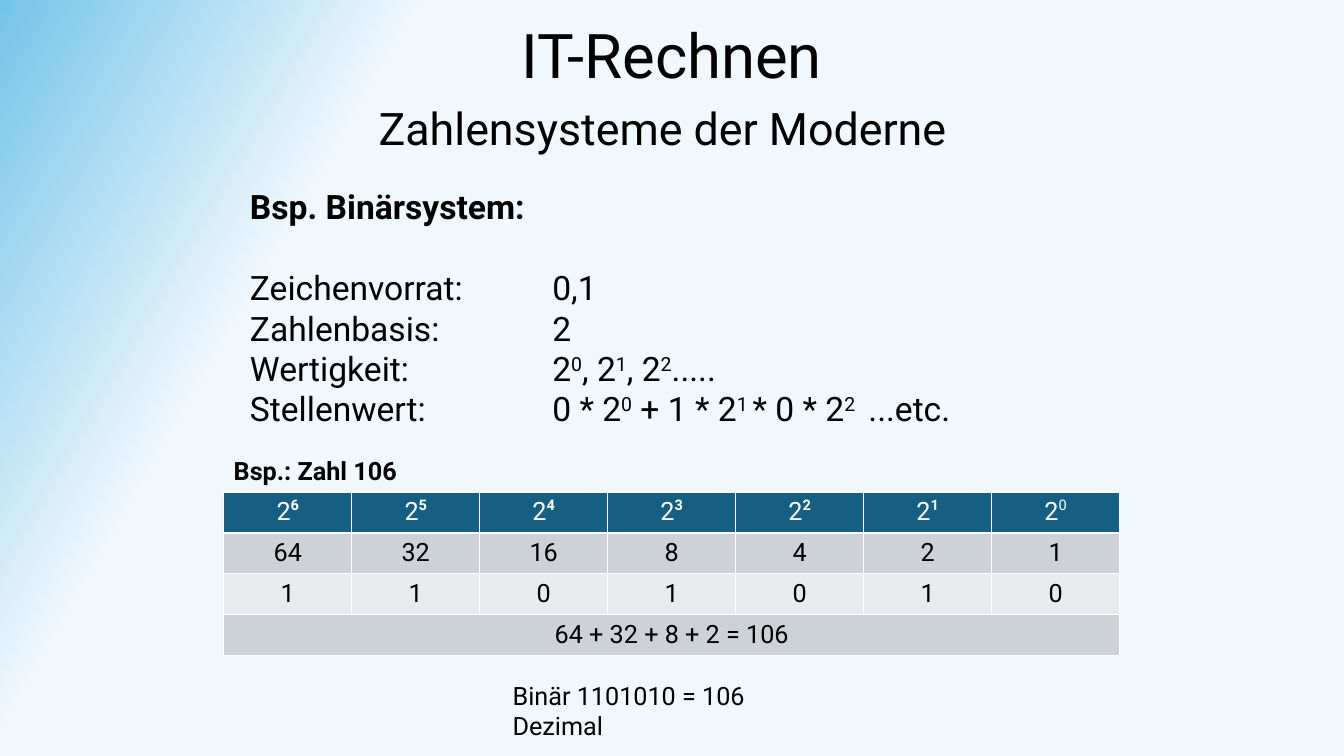
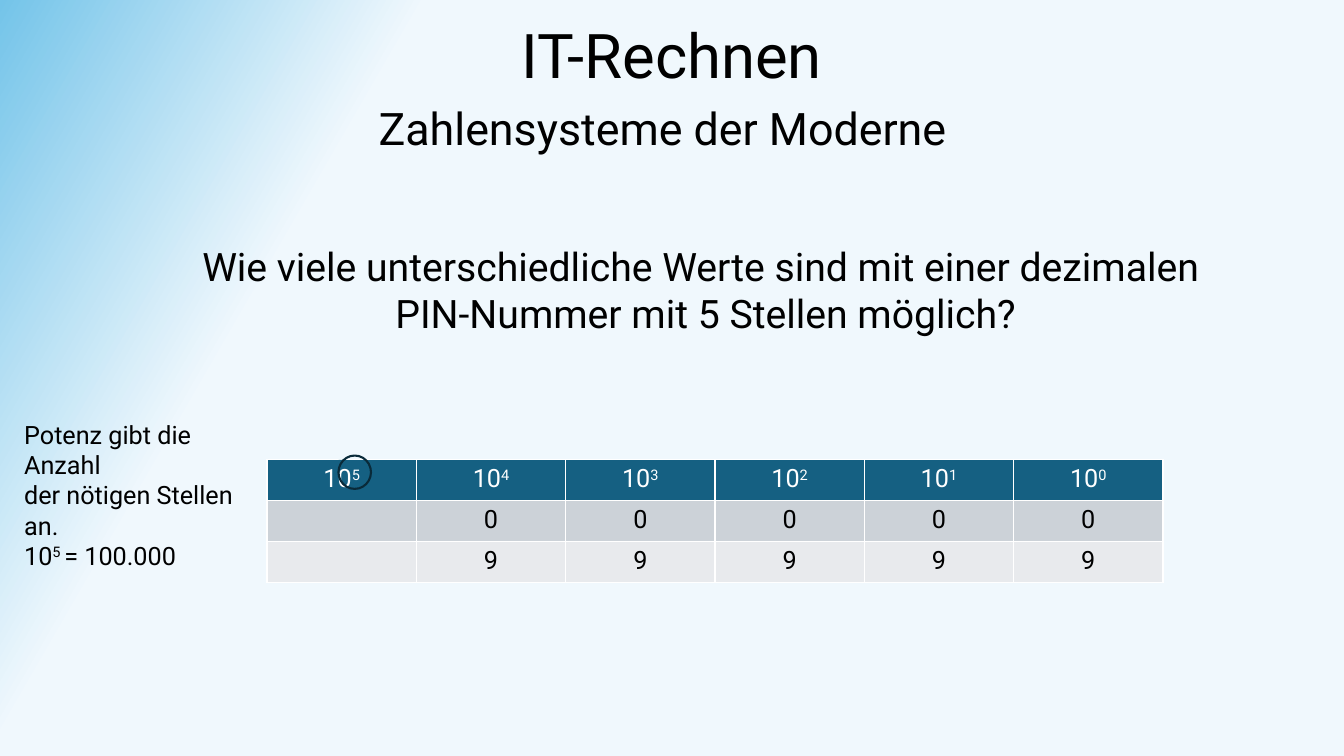
from dataclasses import dataclass

from lxml import etree
from pptx import Presentation
from pptx.dml.color import RGBColor
from pptx.enum.shapes import MSO_CONNECTOR, MSO_SHAPE
from pptx.enum.text import PP_ALIGN
from pptx.oxml.ns import qn
from pptx.util import Cm, Pt

LEFT, CENTER = PP_ALIGN.LEFT, PP_ALIGN.CENTER
STRAIGHT = MSO_CONNECTOR.STRAIGHT
ELLIPSE = MSO_SHAPE.OVAL
BLANK_LAYOUT = 6


@dataclass(frozen=True)
class Theme:
    font: str = "Roboto"
    ink: str = "000000"
    white: str = "FFFFFF"
    header: str = "156082"
    bands: tuple = ("CCD2D8", "E8EAED")
    ring: str = "092A39"
    glow: tuple = ((0.76, "F0F8FD"), (1, "74C4E9"))
    glow_angle: int = 150
    title: int = 44
    subtitle: int = 32
    question: int = 28
    body: int = 24
    small: int = 18
    outline: float = 1.5
    grid: float = 1


THEME = Theme()

TITLE = "IT-Rechnen"
SUBTITLE = "Zahlensysteme der Moderne"

BINARY_HEADING = "Bsp. Binärsystem:"
BINARY_FACTS = [
    ("Zeichenvorrat:", "0,1"),
    ("Zahlenbasis:", "2"),
    ("Wertigkeit:", "2^0^, 2^1^, 2^2^....."),
    ("Stellenwert:", "0 * 2^0^ + 1 * 2^1 ^* 0 * 2^2 ^ ...etc."),
]
EXAMPLE_LABEL = "Bsp.: Zahl 106"
BINARY_ROWS = [
    [f"2^{power}" for power in range(6, -1, -1)],
    ["64", "32", "16", "8", "4", "2", "1"],
    ["1", "1", "0", "1", "0", "1", "0"],
    ["64 + 32 + 8 + 2 = 106"],
]
BINARY_RESULT = "Binär 1101010 = 106 Dezimal"

QUESTION = [
    "Wie viele unterschiedliche Werte sind mit einer dezimalen ",
    "PIN-Nummer mit 5 Stellen möglich?",
]
DECIMAL_ROWS = [
    [f"10^{power}" for power in range(5, -1, -1)],
    [""] + ["0"] * 5,
    [""] + ["9"] * 5,
]
POWER_NOTE = [
    "Potenz gibt die Anzahl",
    "der nötigen Stellen an.",
    "10^5 ^= 100.000",
]

TABLE_WIDTH = 22.58
ROW_HEIGHT = 1.03
VALUE_TAB = 7.62


def rgb(code):
    return RGBColor.from_string(code)


def write(para, text, size=THEME.small, color=THEME.ink, bold=False,
          align=LEFT, raise_by=30, raised_bold=False):
    para.alignment = align
    for index, piece in enumerate(text.split("^")):
        if not piece:
            continue
        raised = index % 2 == 1
        span = para.add_run()
        span.text = piece
        span.font.name = THEME.font
        span.font.size = Pt(size)
        span.font.color.rgb = rgb(color)
        span.font.bold = raised_bold if raised else bold
        if raised:
            span.font._element.set("baseline", str(raise_by * 1000))


def add_text(page, lines, left, top, width, height, **style):
    box = page.shapes.add_textbox(Cm(left), Cm(top), Cm(width), Cm(height))
    frame = box.text_frame
    frame.word_wrap = True
    for index, line in enumerate(lines):
        para = frame.add_paragraph() if index else frame.paragraphs[0]
        write(para, line, **style)
    return frame


def set_tab(para, position):
    tabs = etree.SubElement(para._p.get_or_add_pPr(), qn("a:tabLst"))
    etree.SubElement(tabs, qn("a:tab"), pos=str(Cm(position)), algn="l")


def set_borders(cell):
    properties = cell._tc.get_or_add_tcPr()
    for index, side in enumerate(("lnL", "lnR", "lnT", "lnB")):
        line = etree.Element(qn(f"a:{side}"), w=str(Pt(THEME.grid)))
        fill = etree.SubElement(line, qn("a:solidFill"))
        etree.SubElement(fill, qn("a:srgbClr"), val=THEME.white)
        properties.insert(index, line)


def add_grid(page, rows, left, top, bold_powers=0, raise_by=30):
    count = len(rows[0])
    table = page.shapes.add_table(
        len(rows), count, Cm(left), Cm(top),
        Cm(TABLE_WIDTH), Cm(ROW_HEIGHT * len(rows))).table
    table.horz_banding = False
    for column in table.columns:
        column.width = Cm(TABLE_WIDTH / count)
    for r, values in enumerate(rows):
        table.rows[r].height = Cm(ROW_HEIGHT)
        if len(values) == 1:
            table.cell(r, 0).merge(table.cell(r, count - 1))
        for c in range(count):
            cell = table.cell(r, c)
            cell.fill.solid()
            cell.fill.fore_color.rgb = rgb(
                THEME.bands[(r - 1) % 2] if r else THEME.header)
            set_borders(cell)
            if c < len(values):
                write(cell.text_frame.paragraphs[0], values[c], align=CENTER,
                      color=THEME.ink if r else THEME.white,
                      raise_by=raise_by, raised_bold=c < bold_powers)


def set_background(deck):
    fill = deck.slide_master.background.fill
    fill.gradient()
    fill.gradient_angle = THEME.glow_angle
    for stop, (position, color) in zip(fill.gradient_stops, THEME.glow):
        stop.position = position
        stop.color.rgb = rgb(color)


def add_page(deck):
    page = deck.slides.add_slide(deck.slide_layouts[BLANK_LAYOUT])
    add_text(page, [TITLE], 0, 0.3, 33.87, 2.1,
             size=THEME.title, align=CENTER)
    add_text(page, [SUBTITLE], -0.23, 2.41, 33.87, 1.63,
             size=THEME.subtitle, align=CENTER)
    return page


def build_binary(deck):
    page = add_page(deck)
    frame = add_text(page, [BINARY_HEADING], 6.05, 4.57, 22.76, 6.4,
                     size=THEME.body, bold=True)
    frame.paragraphs[0].space_after = Pt(29)
    for label, value in BINARY_FACTS:
        para = frame.add_paragraph()
        write(para, f"{label}\t{value}", size=THEME.body)
        set_tab(para, VALUE_TAB)
    add_grid(page, BINARY_ROWS, 5.64, 12.4, bold_powers=6, raise_by=40)
    add_text(page, [EXAMPLE_LABEL], 5.64, 11.35, 5.56, 1.02, bold=True)
    add_text(page, [BINARY_RESULT], 12.67, 17.02, 8, 1.02)


def build_decimal(deck):
    page = add_page(deck)
    add_text(page, QUESTION, 2.97, 5.97, 29.62, 2.64,
             size=THEME.question, align=CENTER)
    add_grid(page, DECIMAL_ROWS, 6.73, 11.58)

    pointer = page.shapes.add_connector(
        STRAIGHT, Cm(8.66), Cm(11.61), Cm(7.04), Cm(11.71))
    pointer.line.color.rgb = rgb(THEME.header)
    pointer.line.width = Pt(THEME.outline)
    etree.SubElement(pointer._element.spPr, qn("a:effectLst"))

    ring = page.shapes.add_shape(
        ELLIPSE, Cm(8.53), Cm(11.48), Cm(0.82), Cm(0.84))
    ring.shadow.inherit = False
    ring.fill.background()
    ring.line.color.rgb = rgb(THEME.ring)
    ring.line.width = Pt(THEME.outline)

    add_text(page, POWER_NOTE, 0.36, 10.44, 6.5, 2.57)


def main():
    deck = Presentation()
    deck.slide_width, deck.slide_height = Cm(33.87), Cm(19.05)
    set_background(deck)
    build_binary(deck)
    build_decimal(deck)
    deck.save("out.pptx")


if __name__ == "__main__":
    main()
